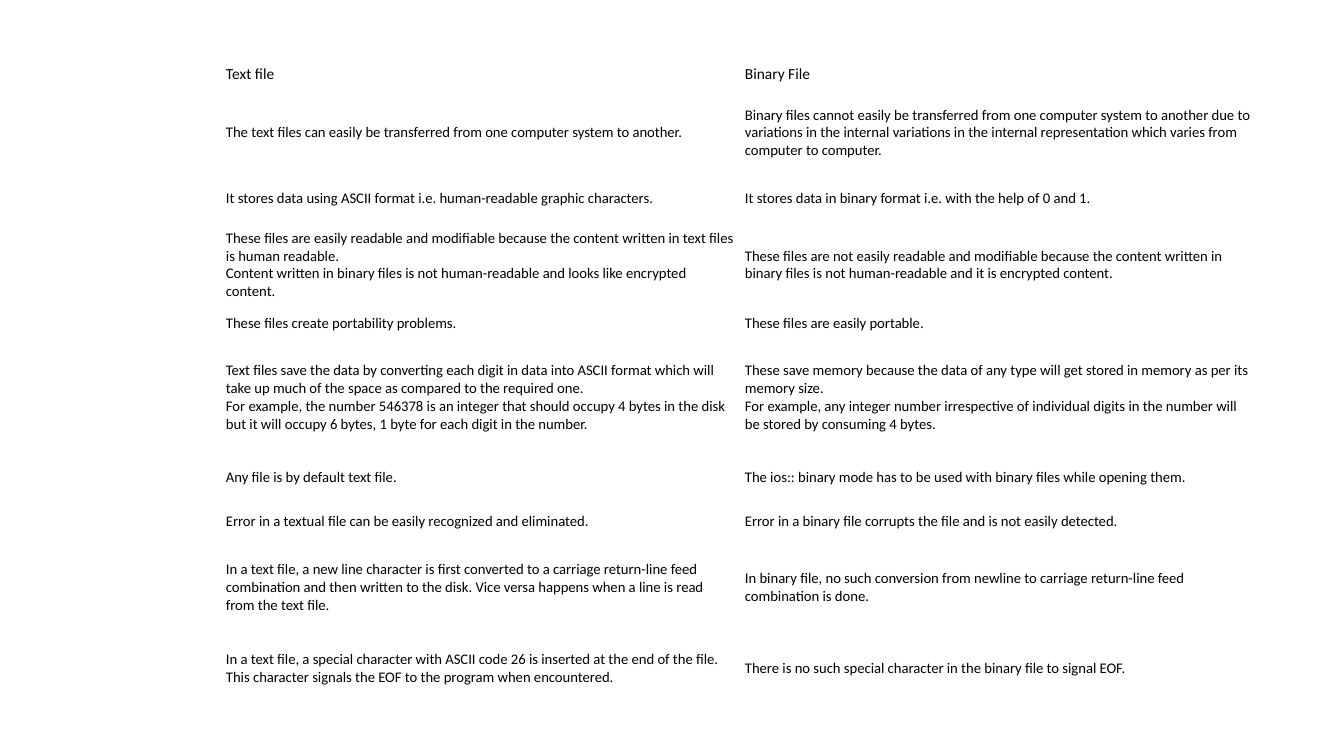
from dataclasses import dataclass

from pptx import Presentation
from pptx.dml.color import RGBColor
from pptx.enum.text import MSO_ANCHOR
from pptx.util import Emu, Pt

MIDDLE = MSO_ANCHOR.MIDDLE
EMU_PER_PX = 914400 / 100.8
BLANK_LAYOUT = 6


def px(length):
    return Emu(round(length * EMU_PER_PX))


@dataclass(frozen=True)
class Theme:
    font: str = "Calibri"
    ink: RGBColor = RGBColor(0, 0, 0)
    heading_size: float = 11
    body_size: float = 10.5
    side_inset: int = 5
    heading_inset: int = 5
    body_inset: int = 6


class SlideBuilder:
    def __init__(self, slide, theme):
        self.slide = slide
        self.theme = theme

    def table(self, left, top, column_widths, row_heights, rows):
        table = self.slide.shapes.add_table(
            len(row_heights), len(column_widths), px(left), px(top),
            px(sum(column_widths)), px(sum(row_heights))).table
        table.first_row = False
        table.horz_banding = False
        for column, width in zip(table.columns, column_widths):
            column.width = px(width)
        for row, height, texts in zip(table.rows, row_heights, rows):
            row.height = px(height)
            is_heading = texts is rows[0]
            for cell, text in zip(row.cells, texts):
                self.cell(cell, text, is_heading)

    def cell(self, cell, text, is_heading):
        theme = self.theme
        cell.fill.background()
        cell.vertical_anchor = MIDDLE
        cell.margin_left = cell.margin_right = px(theme.side_inset)
        inset = theme.heading_inset if is_heading else theme.body_inset
        cell.margin_top = cell.margin_bottom = px(inset)
        cell.text_frame.text = text
        for paragraph in cell.text_frame.paragraphs:
            font = paragraph.font
            font.name = theme.font
            font.size = Pt(theme.heading_size if is_heading else theme.body_size)
            font.color.rgb = theme.ink


ROW_HEIGHTS = [27, 88, 44, 88, 30, 117, 44, 44, 88, 74]
FILE_COMPARISON = [
    ("Text file", "Binary File"),
    ("The text files can easily be transferred from one computer system to another.",
     "Binary files cannot easily be transferred from one computer system to another "
     "due to variations in the internal variations in the internal representation "
     "which varies from computer to computer."),
    ("It stores data using ASCII format i.e. human-readable graphic characters.",
     "It stores data in binary format i.e. with the help of 0 and 1."),
    ("These files are easily readable and modifiable because the content written in "
     "text files is human readable.\v"
     "Content written in binary files is not human-readable and looks like "
     "encrypted content.",
     "These files are not easily readable and modifiable because the content written "
     "in binary files is not human-readable and it is encrypted content."),
    ("These files create portability problems.",
     "These files are easily portable."),
    ("Text files save the data by converting each digit in data into ASCII format "
     "which will take up much of the space as compared to the required one.\n"
     "For example, the number 546378 is an integer that should occupy 4 bytes in the "
     "disk but it will occupy 6 bytes, 1 byte for each digit in the number.",
     "These save memory because the data of any type will get stored in memory as "
     "per its memory size.\n"
     "For example, any integer number irrespective of individual digits in the "
     "number will be stored by consuming 4 bytes."),
    ("Any file is by default text file.",
     "The ios:: binary mode has to be used with binary files while opening them."),
    ("Error in a textual file can be easily recognized and eliminated.",
     "Error in a binary file corrupts the file and is not easily detected."),
    ("In a text file, a new line character is first converted to a carriage "
     "return-line feed combination and then written to the disk. Vice versa happens "
     "when a line is read from the text file.",
     "In binary file, no such conversion from newline to carriage return-line feed "
     "combination is done."),
    ("In a text file, a special character with ASCII code 26 is inserted at the end "
     "of the file. This character signals the EOF to the program when encountered.",
     "There is no such special character in the binary file to signal EOF."),
]


def main():
    presentation = Presentation()
    presentation.slide_width = px(1344)
    presentation.slide_height = px(756)
    slide = presentation.slides.add_slide(presentation.slide_layouts[BLANK_LAYOUT])
    builder = SlideBuilder(slide, Theme())
    builder.table(221, 60, [519, 519], ROW_HEIGHTS, FILE_COMPARISON)
    presentation.save("out.pptx")


if __name__ == "__main__":
    main()
